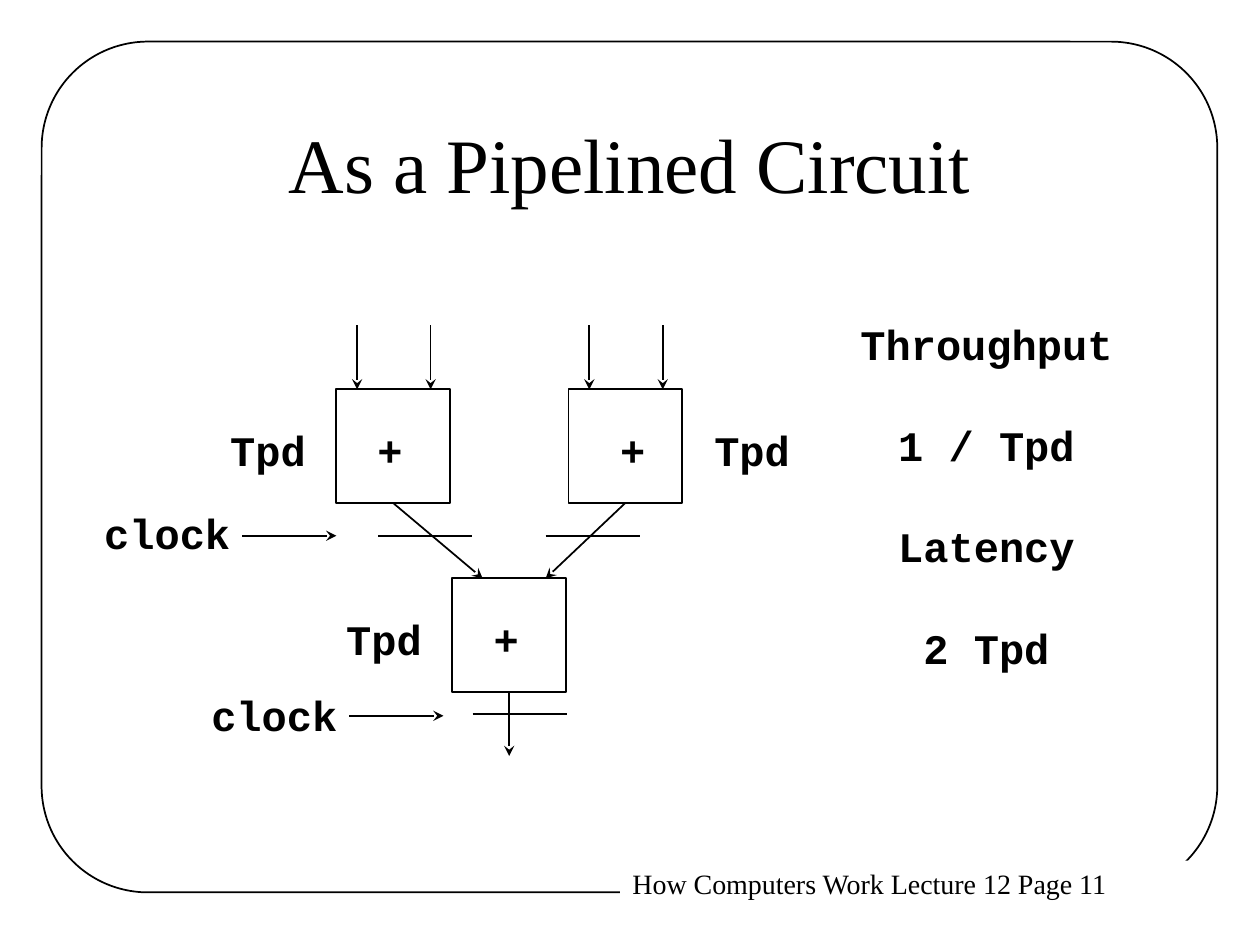
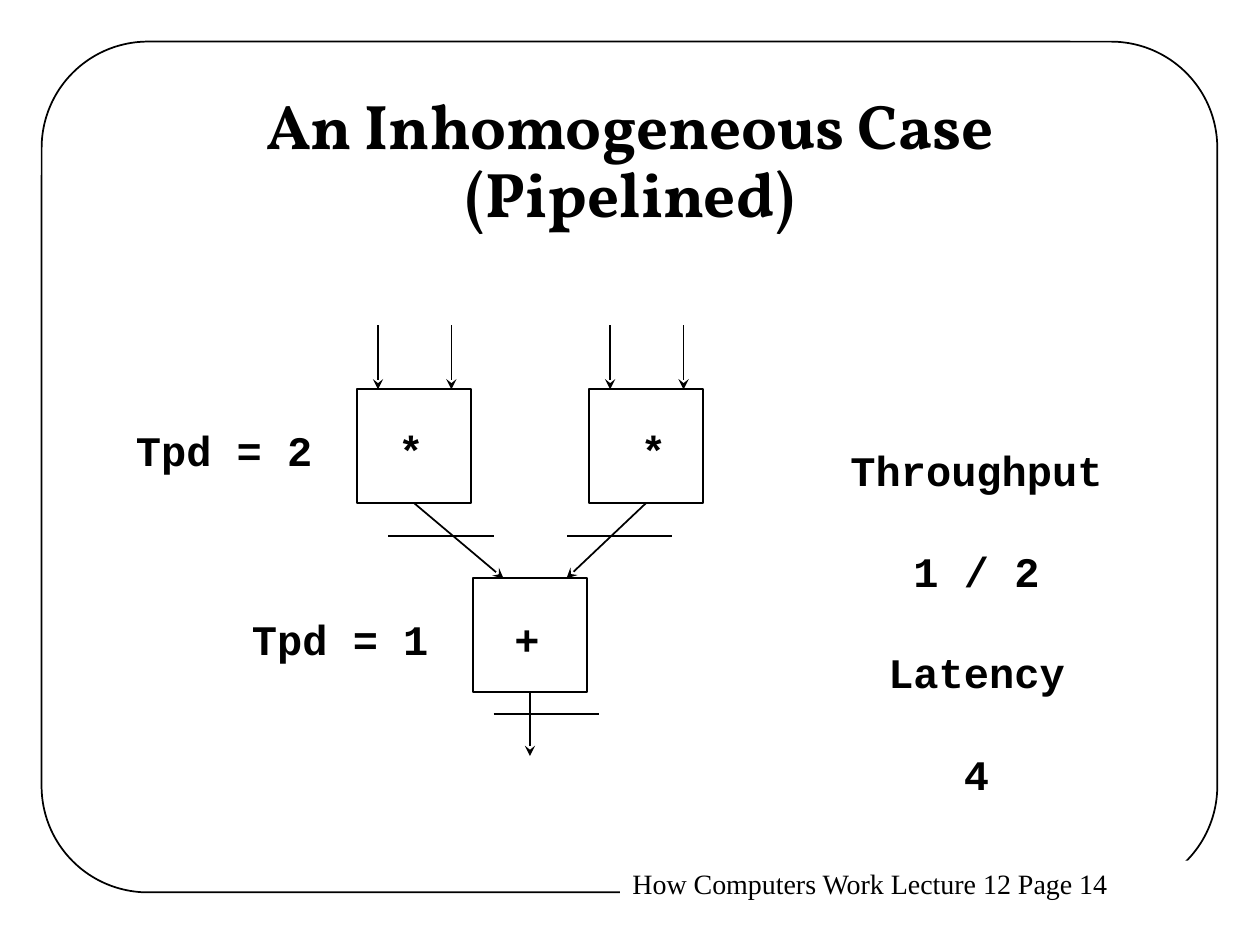
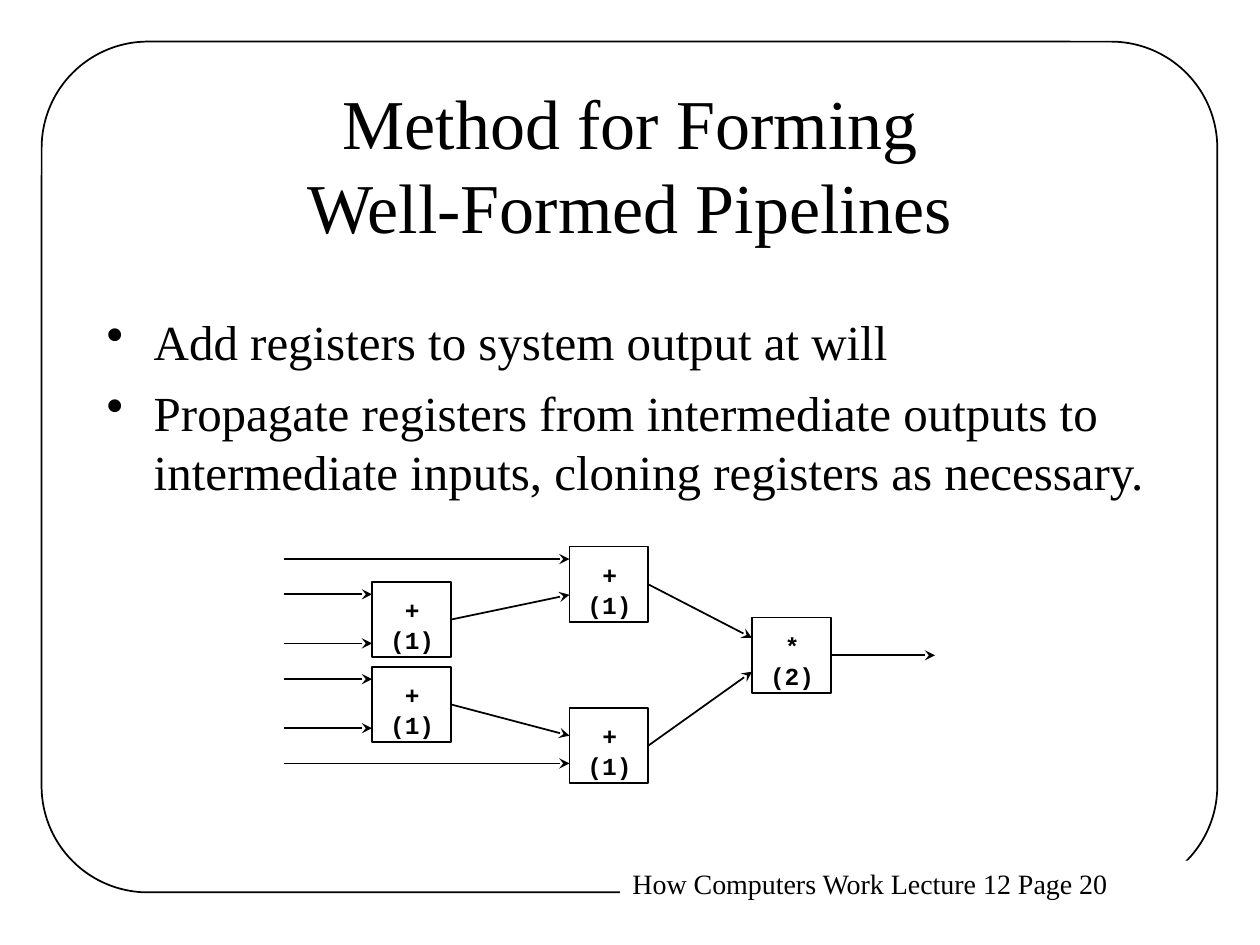
"""Build three lecture slides about pipelined circuits."""

from dataclasses import dataclass
from typing import NamedTuple

from lxml import etree
from pptx import Presentation
from pptx.dml.color import RGBColor
from pptx.enum.shapes import MSO_CONNECTOR, MSO_SHAPE
from pptx.enum.text import MSO_ANCHOR, PP_ALIGN
from pptx.oxml.ns import qn
from pptx.shapes.autoshape import Shape
from pptx.shapes.connector import Connector
from pptx.slide import Slide
from pptx.util import Cm, Pt

RECTANGLE = MSO_SHAPE.RECTANGLE
ROUNDED = MSO_SHAPE.ROUNDED_RECTANGLE
STRAIGHT = MSO_CONNECTOR.STRAIGHT
LEFT, CENTER = PP_ALIGN.LEFT, PP_ALIGN.CENTER
TOP, MIDDLE = MSO_ANCHOR.TOP, MSO_ANCHOR.MIDDLE

BLACK, WHITE = "000000", "FFFFFF"
SERIF, MONO, DISPLAY = "Times New Roman", "Courier New", "Vollkorn"
BOTTOM_SIDE, RIGHT_SIDE = 2, 3


class Box(NamedTuple):
    """Hold a position and size in centimetres."""

    left: float
    top: float
    width: float
    height: float


class Point(NamedTuple):
    """Hold a place in centimetres."""

    x: float
    y: float


@dataclass(frozen=True)
class TextStyle:
    """Describe how the text of one box looks."""

    font: str
    size: float
    bold: bool = False
    align: PP_ALIGN = LEFT
    anchor: MSO_ANCHOR = TOP
    wrap: bool = False
    gap: float = 0
    line_spacing: float = 1.0
    bullet: bool = False


@dataclass(frozen=True)
class Label:
    """Describe a label beside the circuit."""

    text: str
    left: float
    top: float
    width: float


@dataclass(frozen=True)
class Circuit:
    """Describe a circuit of two operators that feed an adder."""

    shift: float
    operator: str
    register_lefts: tuple[float, float, float]
    register_length: float
    labels: list[Label]
    summary: list[str]
    summary_place: Point


TITLE = TextStyle(SERIF, 44, align=CENTER, anchor=MIDDLE, wrap=True)
SMALL_TITLE = TextStyle(SERIF, 40, align=CENTER, anchor=MIDDLE, wrap=True)
DISPLAY_TITLE = TextStyle(DISPLAY, 36, True, CENTER, MIDDLE, True, line_spacing=0.9)
FOOTER = TextStyle(SERIF, 16, wrap=True)
LABEL = TextStyle(MONO, 24, True)
SUMMARY = TextStyle(MONO, 24, True, CENTER, gap=29)
UNIT = TextStyle(MONO, 14, True, CENTER)
BULLETS = TextStyle(SERIF, 28, wrap=True, gap=7, bullet=True)

FRAME_BOX = Box(0.84, 0.84, 23.7, 17.15)
FOOTER_BOX = Box(12.5, 17.35, 11.94, 0.94)
TITLE_BOX = Box(1.9, 1.7, 21.6, 3.18)
BULLETS_BOX = Box(1.9, 6.15, 21.6, 11.43)

OPERATOR_SIZE = 2.29
OPERATOR_TOP, ADDER_TOP = 7.85, 11.66
OPERATOR_LEFTS, ADDER_LEFT = (6.78, 11.46), 9.12
SIGN_INSETS, ADDER_INSET = (0.58, 0.79), 0.58
INPUT_OFFSETS, INPUT_TOP = (0.42, 1.9), 6.56
ADDER_INPUTS = (9.73, 11.0)
OUTPUT_BOTTOM = 15.24
REGISTER_TOPS = (10.8, 10.8, 14.4)
LABEL_HEIGHT = 1.27
FIRST_ROW, SECOND_ROW = 8.43, 12.24
CLOCK_LENGTH = 1.9

UNIT_WIDTH, UNIT_HEIGHT = 1.59, 1.52
WIRE_START = 5.72

PIPELINED = Circuit(
    0, "+", (7.62, 11.0, 9.53), 1.9,
    [
        Label("Tpd", 14.15, FIRST_ROW, 2.03),
        Label("Tpd", 6.73, SECOND_ROW, 2.03),
        Label("Tpd", 4.39, FIRST_ROW, 2.03),
        Label("clock", 1.85, 10.11, 3.05),
        Label("clock", 4.01, 13.77, 3.05),
    ],
    ["Throughput", "1 / Tpd", "Latency", "2 Tpd"], Point(17.09, 6.3),
)
INHOMOGENEOUS = Circuit(
    0.42, "*", (7.83, 11.43, 9.95), 2.12,
    [
        Label("Tpd = 2", 2.49, FIRST_ROW, 4.06),
        Label("Tpd = 1", 4.83, SECOND_ROW, 4.06),
    ],
    ["Throughput", "1 / 2", "Latency", "4"], Point(16.89, 8.84),
)
CLOCK_STARTS = [Point(4.88, 10.8), Point(7.04, 14.43)]


def color(value: str) -> RGBColor:
    """Turn a hex string into a colour."""
    return RGBColor.from_string(value)


def write(shape: Shape, lines: list[str], style: TextStyle) -> None:
    """Fill a shape with styled paragraphs."""
    frame = shape.text_frame
    frame.text = "\n".join(lines)
    frame.word_wrap = style.wrap
    frame.vertical_anchor = style.anchor
    for index, paragraph in enumerate(frame.paragraphs):
        paragraph.text = lines[index]
        if style.bullet:
            properties = paragraph._p.get_or_add_pPr()
            properties.set("marL", str(Cm(0.95)))
            properties.set("indent", str(-Cm(0.95)))
            etree.SubElement(properties, qn("a:buChar")).set("char", "•")
        paragraph.alignment = style.align
        paragraph.line_spacing = style.line_spacing
        if index and style.gap:
            paragraph.space_before = Pt(style.gap)
        for run in paragraph.runs:
            run.font.name = style.font
            run.font.size = Pt(style.size)
            run.font.bold = style.bold
            run.font.color.rgb = color(BLACK)


def add_text(slide: Slide, box: Box, lines: list[str], style: TextStyle) -> None:
    """Add a text box."""
    write(slide.shapes.add_textbox(*map(Cm, box)), lines, style)


def add_box(slide: Slide, box: Box, kind: MSO_SHAPE = RECTANGLE,
            fill: str | None = WHITE, outline: str | None = BLACK) -> Shape:
    """Add a flat shape with an optional fill and outline."""
    shape = slide.shapes.add_shape(kind, *map(Cm, box))
    shape.shadow.inherit = False
    if fill:
        shape.fill.solid()
        shape.fill.fore_color.rgb = color(fill)
    else:
        shape.fill.background()
    if outline:
        shape.line.color.rgb = color(outline)
        shape.line.width = Pt(1)
    else:
        shape.line.fill.background()
    return shape


def add_line(slide: Slide, start: Point, end: Point, arrow: bool = True) -> Connector:
    """Add a straight line, with an arrowhead at its end if wanted."""
    connector = slide.shapes.add_connector(STRAIGHT, *map(Cm, (*start, *end)))
    connector.line.color.rgb = color(BLACK)
    connector.line.width = Pt(1)
    properties = connector._element.spPr
    if arrow:
        tail = etree.SubElement(properties.find(qn("a:ln")), qn("a:tailEnd"))
        tail.set("type", "stealth")
    etree.SubElement(properties, qn("a:effectLst"))
    return connector


def add_wire(slide: Slide, source: Shape, side: int, end: Point) -> None:
    """Add an arrow that leaves the middle of a shape's side."""
    add_line(slide, end, end).begin_connect(source, side)


def add_page(presentation: Presentation, title: str, style: TextStyle, page: int) -> Slide:
    """Add a slide with its frame, footer and title."""
    slide = presentation.slides.add_slide(presentation.slide_layouts[6])
    add_box(slide, FRAME_BOX, ROUNDED, fill=None).adjustments[0] = 0.125
    footer = add_box(slide, FOOTER_BOX, outline=None)
    write(footer, [f"How Computers Work Lecture 12 Page {page}"], FOOTER)
    add_text(slide, TITLE_BOX, [title], style)
    return slide


def add_operator(slide: Slide, left: float, top: float, sign: str, inset: float) -> Shape:
    """Add a square operator with its sign."""
    shape = add_box(slide, Box(left, top, OPERATOR_SIZE, OPERATOR_SIZE))
    add_text(slide, Box(left + inset, top + 0.58, 1.02, LABEL_HEIGHT), [sign], LABEL)
    return shape


def draw_circuit(slide: Slide, circuit: Circuit) -> None:
    """Draw operators, wires, registers and labels of a circuit."""
    adder_left = ADDER_LEFT + circuit.shift
    adder = add_operator(slide, adder_left, ADDER_TOP, "+", ADDER_INSET)
    for base, inset, target in zip(OPERATOR_LEFTS, SIGN_INSETS, ADDER_INPUTS):
        left = base + circuit.shift
        operator = add_operator(slide, left, OPERATOR_TOP, circuit.operator, inset)
        for offset in INPUT_OFFSETS:
            x = left + offset
            add_line(slide, Point(x, INPUT_TOP), Point(x, OPERATOR_TOP))
        add_wire(slide, operator, BOTTOM_SIDE, Point(target + circuit.shift, ADDER_TOP))
    center = adder_left + OPERATOR_SIZE / 2
    add_wire(slide, adder, BOTTOM_SIDE, Point(center, OUTPUT_BOTTOM))
    for left, top in zip(circuit.register_lefts, REGISTER_TOPS):
        end = Point(left + circuit.register_length, top)
        add_line(slide, Point(left, top), end, arrow=False)
    for label in circuit.labels:
        box = Box(label.left, label.top, label.width, LABEL_HEIGHT)
        add_text(slide, box, [label.text], LABEL)
    add_text(slide, Box(*circuit.summary_place, 5.59, 7.37), circuit.summary, SUMMARY)


def add_unit(slide: Slide, place: Point, sign: str, delay: str) -> Shape:
    """Add a small operator with its delay."""
    shape = add_box(slide, Box(*place, UNIT_WIDTH, UNIT_HEIGHT))
    add_text(slide, Box(place.x + 0.11, place.y + 0.15, 1.4, 1.45), [sign, delay], UNIT)
    return shape


def draw_pipeline(slide: Slide) -> None:
    """Draw the tree of four adders and a multiplier."""
    multiplier_place = Point(15.16, 12.45)
    multiplier = add_unit(slide, multiplier_place, "*", "(2)")
    branches = [
        (Point(7.5, 11.73), Point(11.48, 11.02), 0.25, 0.97, 0.41),
        (Point(7.5, 13.44), Point(11.48, 14.27), 1.12, 0.56, 1.09),
    ]
    for first, second, outer_input, inner_input, product_input in branches:
        first_adder = add_unit(slide, first, "+", "(1)")
        second_adder = add_unit(slide, second, "+", "(1)")
        inputs = [Point(first.x, first.y + offset) for offset in (0.25, 1.24)]
        for end in [*inputs, Point(second.x, second.y + outer_input)]:
            add_line(slide, Point(WIRE_START, end.y), end)
        add_wire(slide, first_adder, RIGHT_SIDE, Point(second.x, second.y + inner_input))
        product_end = Point(multiplier_place.x, multiplier_place.y + product_input)
        add_wire(slide, second_adder, RIGHT_SIDE, product_end)
    output = Point(18.85, multiplier_place.y + UNIT_HEIGHT / 2)
    add_wire(slide, multiplier, RIGHT_SIDE, output)


def main() -> None:
    """Build and save the presentation."""
    presentation = Presentation()
    presentation.slide_width = Cm(25.4)
    presentation.slide_height = Cm(19.05)

    slide = add_page(presentation, "As a Pipelined Circuit", TITLE, 11)
    draw_circuit(slide, PIPELINED)
    for start in CLOCK_STARTS:
        add_line(slide, start, Point(start.x + CLOCK_LENGTH, start.y))

    slide = add_page(presentation, "An Inhomogeneous Case\v(Pipelined)", DISPLAY_TITLE, 14)
    draw_circuit(slide, INHOMOGENEOUS)

    slide = add_page(presentation, "Method for Forming\vWell-Formed Pipelines", SMALL_TITLE, 20)
    add_text(slide, BULLETS_BOX, [
        "Add registers to system output at will",
        "Propagate registers from intermediate outputs to intermediate inputs, "
        "cloning registers as necessary.",
    ], BULLETS)
    draw_pipeline(slide)

    presentation.save("out.pptx")


if __name__ == "__main__":
    main()
